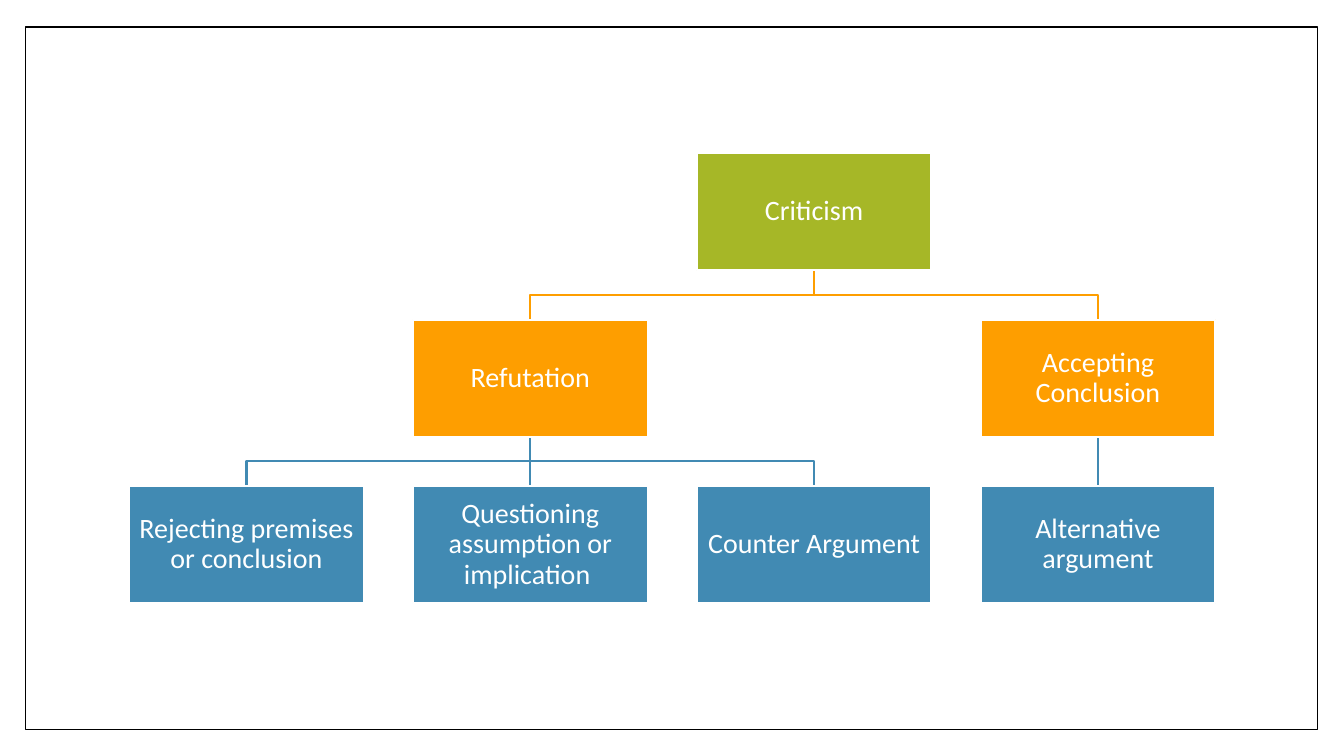
from dataclasses import dataclass

from lxml.etree import SubElement
from pptx import Presentation
from pptx.dml.color import RGBColor
from pptx.enum.shapes import MSO_CONNECTOR, MSO_SHAPE
from pptx.enum.text import MSO_ANCHOR, PP_ALIGN
from pptx.oxml.ns import qn
from pptx.util import Inches, Pt

# name: (text, column, level, parent)
NODES = {
    "criticism": ("Criticism", 2, 0, None),
    "refutation": ("Refutation", 1, 1, "criticism"),
    "accepting": ("Accepting Conclusion", 3, 1, "criticism"),
    "rejecting": ("Rejecting premises or conclusion", 0, 2, "refutation"),
    "questioning": ("Questioning assumption or implication ", 1, 2, "refutation"),
    "counter": ("Counter Argument", 2, 2, "refutation"),
    "alternative": ("Alternative argument", 3, 2, "accepting"),
}


@dataclass(frozen=True)
class Theme:
    levels: tuple = ("A6B727", "FE9E00", "418AB3")
    white: str = "FFFFFF"
    black: str = "000000"
    font: str = "Calibri"
    text_size: float = 20
    line_width: float = 1.5
    frame_width: float = 1


THEME = Theme()
SLIDE_WIDTH, SLIDE_HEIGHT = 13.33, 7.5
FRAME = (0.25, 0.27, 12.82, 6.97)
TREE_LEFT, TREE_TOP = 1.28, 1.52
COLUMN_STEP, LEVEL_STEP = 2.815, 1.652
BOX_WIDTH, BOX_HEIGHT = 2.33, 1.16
TEXT_MARGIN = 0.01


def style_line(line, color, width):
    line.color.rgb = RGBColor.from_string(color)
    line.width = Pt(width)


def add_box(slide, bounds, fill, line_color, line_width):
    box = slide.shapes.add_shape(MSO_SHAPE.RECTANGLE, *map(Inches, bounds))
    box.shadow.inherit = False
    box.fill.solid()
    box.fill.fore_color.rgb = RGBColor.from_string(fill)
    style_line(box.line, line_color, line_width)
    return box


def box_position(node):
    _, column, level, _ = node
    return TREE_LEFT + column * COLUMN_STEP, TREE_TOP + level * LEVEL_STEP


def add_branch(slide, parent, child):
    """Draw a straight line to a child below, or a stepped line to one at the side."""
    parent_left, parent_top = box_position(parent)
    child_left, child_top = box_position(child)
    start_x, end_x = parent_left + BOX_WIDTH / 2, child_left + BOX_WIDTH / 2
    start_y = parent_top + BOX_HEIGHT
    if start_x == end_x:
        ends = map(Inches, (start_x, start_y, end_x, child_top))
        branch = slide.shapes.add_connector(MSO_CONNECTOR.STRAIGHT, *ends)
        SubElement(branch._element.spPr, qn("a:effectLst"))
    else:
        middle_y = (start_y + child_top) / 2
        builder = slide.shapes.build_freeform(start_x, start_y, scale=Inches(1))
        bends = [(start_x, middle_y), (end_x, middle_y), (end_x, child_top)]
        builder = slide.shapes.build_freeform(
            Inches(start_x), Inches(start_y))
        builder.add_line_segments(
            [(Inches(x), Inches(y)) for x, y in bends], close=False)
        branch = builder.convert_to_shape()
        branch.shadow.inherit = False
        branch.fill.background()
    style_line(branch.line, THEME.levels[child[2]], THEME.line_width)


def add_node(slide, node):
    text, _, level, _ = node
    bounds = (*box_position(node), BOX_WIDTH, BOX_HEIGHT)
    box = add_box(slide, bounds, THEME.levels[level], THEME.white, THEME.line_width)
    frame = box.text_frame
    frame_format = {"word_wrap": True, "vertical_anchor": MSO_ANCHOR.MIDDLE}
    for side in ("left", "right", "top", "bottom"):
        frame_format[f"margin_{side}"] = Inches(TEXT_MARGIN)
    for name, value in frame_format.items():
        setattr(frame, name, value)
    paragraph = frame.paragraphs[0]
    paragraph.alignment = PP_ALIGN.CENTER
    paragraph.line_spacing = 0.9
    run = paragraph.add_run()
    run.text = text
    for name, value in {"name": THEME.font, "size": Pt(THEME.text_size)}.items():
        setattr(run.font, name, value)
    run.font.color.rgb = RGBColor.from_string(THEME.white)


def main():
    presentation = Presentation()
    presentation.slide_width = Inches(SLIDE_WIDTH)
    presentation.slide_height = Inches(SLIDE_HEIGHT)
    slide = presentation.slides.add_slide(presentation.slide_layouts[6])
    add_box(slide, FRAME, THEME.white, THEME.black, THEME.frame_width)
    for node in NODES.values():
        if node[3]:
            add_branch(slide, NODES[node[3]], node)
    for node in NODES.values():
        add_node(slide, node)
    presentation.save("out.pptx")


if __name__ == "__main__":
    main()
